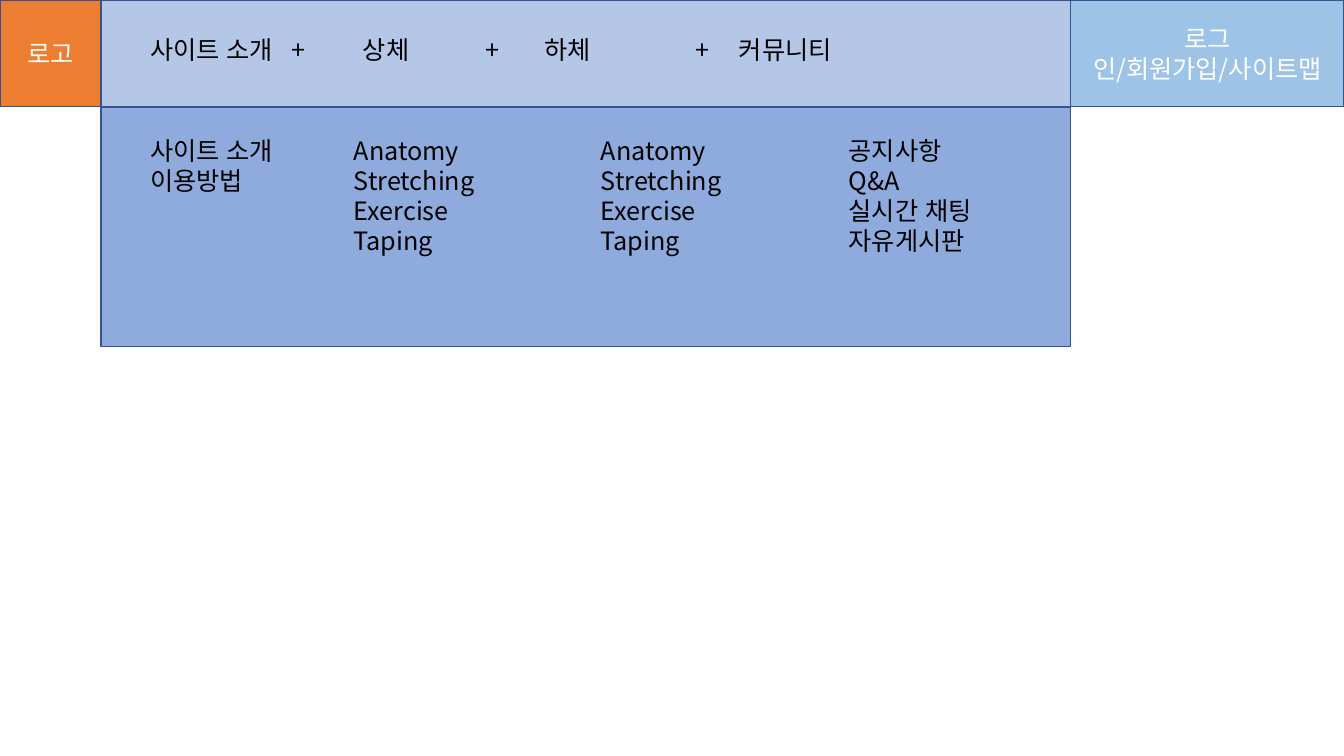
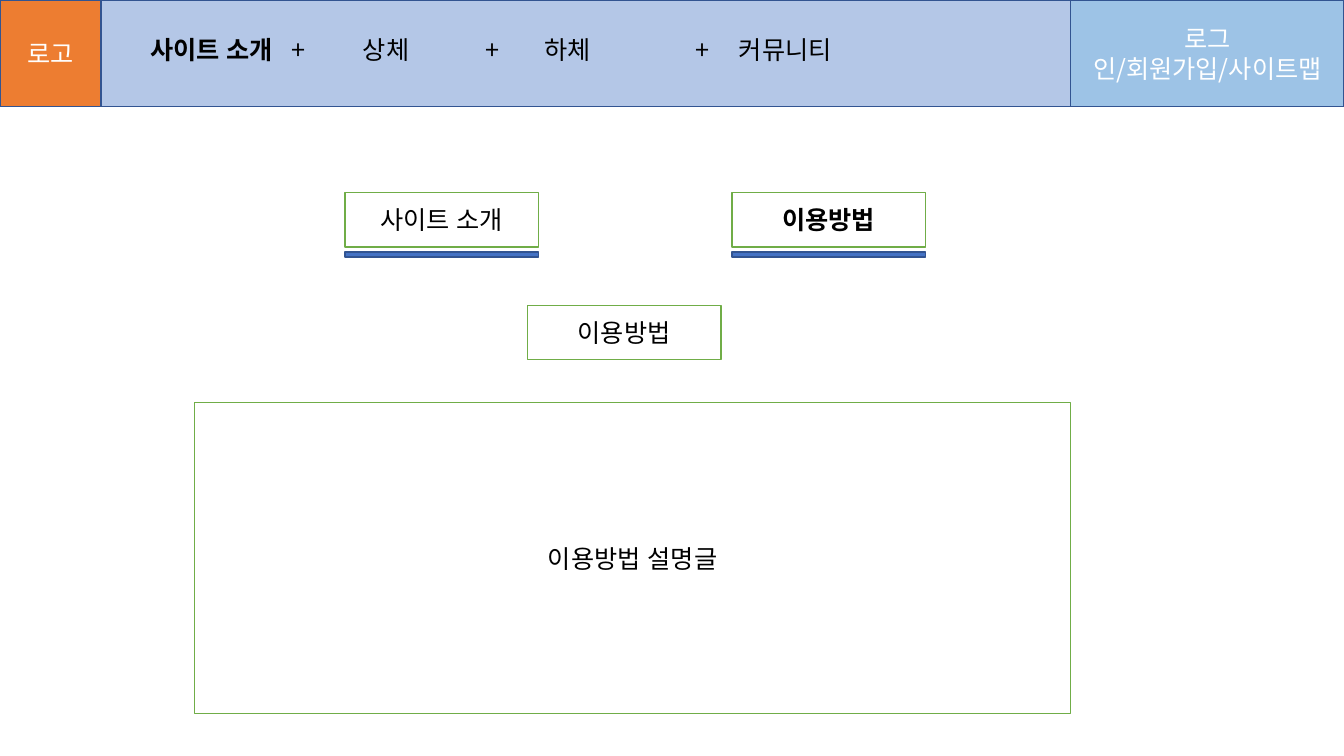
from lxml import etree
from pptx import Presentation
from pptx.dml.color import RGBColor
from pptx.enum.lang import MSO_LANGUAGE_ID
from pptx.enum.shapes import MSO_SHAPE
from pptx.enum.text import MSO_ANCHOR, MSO_AUTO_SIZE, PP_ALIGN
from pptx.oxml.ns import qn
from pptx.util import Inches, Pt

FONT = "Noto Sans CJK KR"
COLORS = {
    "blue": "4472C4", "navy": "325491", "orange": "ED7D31",
    "nav": "B4C7E7", "login": "9DC3E6", "menu": "8FAADC",
    "green": "70AD47", "white": "FFFFFF", "black": "000000",
}
BAR_H = 1.06
NAV_X, NAV_W = 1, 9.62
LOGIN_X = NAV_X + NAV_W
SLIDE_W, SLIDE_H = 13.33, 7.5
TEXT_X = 1.39

NAV_ITEMS = ["사이트 소개", "+", "상체", "+", "하체", "+", "커뮤니티"]
NAV_STOPS = [1.4, 2.11, 3.33, 3.91, 5.41, 5.84]
BODY_MENU = "Anatomy\nStretching\nExercise\nTaping"
MENUS = [
    (TEXT_X, 0.71, "사이트 소개\n이용방법"),
    (3.41, 1.31, BODY_MENU),
    (5.86, 1.31, BODY_MENU),
    (8.32, 1.31, "공지사항\nQ&A\n실시간 채팅\n자유게시판"),
]


def rgb(name):
    """Return the named colour."""
    return RGBColor.from_string(COLORS[name])


def add_run(p, text, size=18, color="black", bold=False):
    """Append formatted text to a paragraph."""
    r = p.add_run()
    r.text = text
    r.font.size = Pt(size)
    r.font.bold = bold
    r.font.name = FONT
    r.font.language_id = MSO_LANGUAGE_ID.KOREAN
    r.font.color.rgb = rgb(color)
    ea = etree.SubElement(r.font._element, qn("a:ea"))
    ea.set("typeface", FONT)


def write_lines(tf, text, align=PP_ALIGN.LEFT, **fmt):
    """Write each line of the text as a paragraph."""
    for i, line in enumerate(text.split("\n")):
        p = tf.add_paragraph() if i else tf.paragraphs[0]
        p.alignment = align
        add_run(p, line, **fmt)


def add_box(s, x, y, w, h, fill, line="navy", text="", **fmt):
    """Add an outlined rectangle, with centred text if given."""
    sp = s.shapes.add_shape(MSO_SHAPE.RECTANGLE, Inches(x), Inches(y),
                            Inches(w), Inches(h))
    sp.shadow.inherit = False
    sp.fill.solid()
    sp.fill.fore_color.rgb = rgb(fill)
    sp.line.color.rgb = rgb(line)
    sp.line.width = Pt(1)
    if text:
        tf = sp.text_frame
        tf.word_wrap = True
        tf.vertical_anchor = MSO_ANCHOR.MIDDLE
        write_lines(tf, text, align=PP_ALIGN.CENTER, **fmt)


def add_text_frame(s, x, y, w, h):
    """Add a wrapping text box and return its text frame."""
    tf = s.shapes.add_textbox(Inches(x), Inches(y), Inches(w),
                              Inches(h)).text_frame
    tf.word_wrap = True
    tf.auto_size = MSO_AUTO_SIZE.SHAPE_TO_FIT_TEXT
    return tf


def set_tab_stops(p, stops):
    """Give a paragraph left tab stops, measured in inches."""
    tabs = etree.SubElement(p._p.get_or_add_pPr(), qn("a:tabLst"))
    for stop in stops:
        etree.SubElement(tabs, qn("a:tab"), pos=str(Inches(stop)), algn="l")


def add_header(s, active=False):
    """Add the site header; active makes the first item bold."""
    add_box(s, 0, 0, SLIDE_W, BAR_H, "blue")
    add_box(s, 0, 0, NAV_X, BAR_H, "orange", text="로고", color="white")
    add_box(s, NAV_X, 0, NAV_W, BAR_H, "nav")
    add_box(s, LOGIN_X, 0, SLIDE_W - LOGIN_X, BAR_H, "login",
            text="로그인/회원가입/사이트맵", color="white")
    p = add_text_frame(s, TEXT_X, 0.29, 8.55, 0.4).paragraphs[0]
    set_tab_stops(p, NAV_STOPS)
    first, *others = NAV_ITEMS
    add_run(p, first, bold=active)
    add_run(p, "".join("\t" + item for item in others))


def add_field(s, x, y, text, w=1.92, h=0.54, bold=False):
    """Add a white box with a green outline."""
    add_box(s, x, y, w, h, "white", line="green", text=text, bold=bold)


def build_menu_slide(s):
    """Build the header with its open drop-down menu."""
    add_header(s)
    add_box(s, NAV_X, BAR_H, NAV_W, 2.38, "menu")
    for x, h, text in MENUS:
        write_lines(add_text_frame(s, x, 1.29, 1.62, h), text)


def build_guide_slide(s):
    """Build the page that explains how to use the site."""
    add_header(s, active=True)
    tabs = [(3.42, "사이트 소개", False), (7.26, "이용방법", True)]
    for x, text, bold in tabs:
        add_field(s, x, 1.91, text, bold=bold)
        add_box(s, x, 2.5, 1.92, 0.05, "blue")
    add_field(s, 5.23, 3.03, "이용방법")
    add_field(s, 1.93, 3.99, "이용방법 설명글", w=8.69, h=3.09)


def main():
    """Build and save the presentation."""
    prs = Presentation()
    prs.slide_width = Inches(SLIDE_W)
    prs.slide_height = Inches(SLIDE_H)
    for build in (build_menu_slide, build_guide_slide):
        build(prs.slides.add_slide(prs.slide_layouts[6]))
    prs.save("out.pptx")


main()
